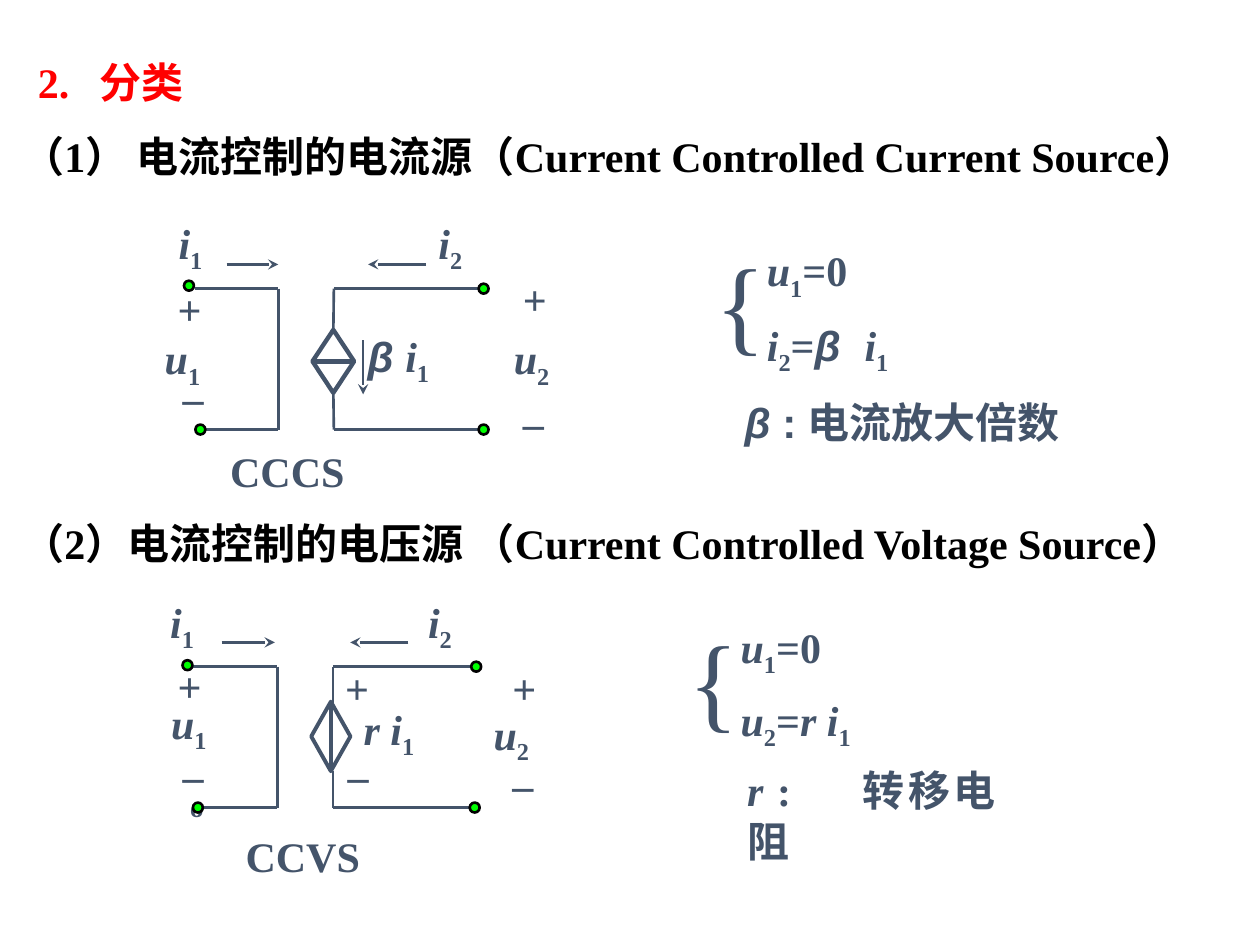
from lxml.etree import SubElement
from pptx import Presentation
from pptx.dml.color import RGBColor
from pptx.enum.shapes import MSO_CONNECTOR, MSO_SHAPE
from pptx.enum.text import MSO_ANCHOR, MSO_AUTO_SIZE, PP_ALIGN
from pptx.oxml.ns import qn
from pptx.util import Cm, Pt

INK, BLACK, RED, GREEN = "44546A", "000000", "FF0000", "00FF00"
ROMAN = "Times New Roman"
BASE = {"name": ROMAN, "size": Pt(24), "bold": True, "italic": False}
ITAL = {"italic": True}
BETA = {"italic": True, "name": "Arial"}
SANS = {"name": "Arial"}
BRACE = {"size": Pt(60), "bold": False}
FRAME = {"word_wrap": True, "auto_size": MSO_AUTO_SIZE.NONE,
         "vertical_anchor": MSO_ANCHOR.MIDDLE}


def tint(code):
    return RGBColor.from_string(code)


def put(item, vals):
    for key, val in vals.items():
        setattr(item, key, val)


def var(name, sub):
    return [(name, ITAL), (sub, "sub")]


class Deck:
    """Hold the style and the current slide, and draw each kind of element."""

    def __init__(self):
        self.prs = Presentation()
        put(self.prs, {"slide_width": Cm(25.4), "slide_height": Cm(19.05)})
        self.slide = self.prs.slides.add_slide(self.prs.slide_layouts[5])
        self.all = self.slide.shapes

    def letter(self, box, runs, color, tab=None):
        put(box.text_frame, FRAME)
        para = box.text_frame.paragraphs[0]
        para.alignment = PP_ALIGN.JUSTIFY
        if tab:
            tabs = SubElement(para._p.get_or_add_pPr(), qn("a:tabLst"))
            SubElement(tabs, qn("a:tab"), pos=str(Cm(tab)), algn="l")
        for words, style in [(runs, {})] if isinstance(runs, str) else runs:
            run = para.add_run()
            run.text = words
            put(run.font, BASE if style == "sub" else {**BASE, **style})
            run.font.color.rgb = tint(color)
            if style == "sub":
                run._r.get_or_add_rPr().set("baseline", "-25000")
        return para

    def title(self, x, y, w, h, words, tab):
        box = self.all.title
        put(box, {"left": Cm(x), "top": Cm(y), "width": Cm(w), "height": Cm(h)})
        self.letter(box, words, RED, tab).line_spacing = 1.2

    def text(self, x, y, w, runs, h=1.27, color=INK, tab=None):
        box = self.all.add_textbox(Cm(x), Cm(y), Cm(w), Cm(h))
        self.letter(box, runs, color, tab)

    def shape(self, kind, x, y, w, h, line, width, fill=None, turn=0):
        item = self.all.add_shape(kind, Cm(x), Cm(y), Cm(w), Cm(h))
        item.shadow.inherit = False
        item.rotation = turn
        item.line.color.rgb = tint(line)
        item.line.width = Pt(width)
        if fill:
            item.fill.solid()
            item.fill.fore_color.rgb = tint(fill)
        else:
            item.fill.background()
        return item

    def wire(self, x1, y1, x2, y2, head=False):
        item = self.all.add_connector(
            MSO_CONNECTOR.STRAIGHT, Cm(x1), Cm(y1), Cm(x2), Cm(y2))
        item.line.color.rgb = tint(INK)
        item.line.width = Pt(1.5)
        props = item._element.spPr
        if head:
            SubElement(props.find(qn("a:ln")), qn("a:tailEnd"), type="stealth")
        SubElement(props, qn("a:effectLst"))
        return item

    def loop(self, start, left, core, end, top, gem, joined):
        low = top + 2.84
        for y in (top, low):
            self.wire(start, y, left, y)
            self.wire(core, y, end, y)
        self.wire(left, top, left, low)
        for y, gap, site in ((top, top + 0.84, 0), (low, top + 2.1, 2)):
            lead = self.wire(core, gap, core, y)
            if joined:
                lead.begin_connect(gem, site)

    def dot(self, x, y):
        self.shape(MSO_SHAPE.OVAL, x, y, 0.2, 0.2, BLACK, 1.5, GREEN)


def main():
    deck = Deck()
    deck.title(0.51, 0.81, 5.36, 1.47, "2.\t分类", 1.25)
    deck.text(0.2, 2.51, 24.71,
              "（1） 电流控制的电流源（Current Controlled Current Source）", color=BLACK)
    deck.text(0.2, 10.31, 24.21,
              "（2）电流控制的电压源 （Current Controlled Voltage Source）", color=BLACK)

    sort = MSO_SHAPE.FLOWCHART_SORT
    gem = deck.shape(sort, 6.3, 6.65, 0.84, 1.27, INK, 2.5)
    deck.loop(3.94, 5.61, 6.73, 9.7, 5.82, gem, True)
    gem = deck.shape(sort, 5.97, 14.45, 1.4, 0.79, INK, 2.25, turn=270)
    deck.loop(3.89, 5.59, 6.71, 9.65, 13.44, gem, False)

    for ends in ((4.57, 5.33, 5.61, 5.33), (8.59, 5.33, 7.42, 5.33),
                 (7.32, 6.86, 7.32, 7.95),
                 (4.47, 12.95, 5.54, 12.95), (8.23, 12.95, 7.06, 12.95)):
        deck.wire(*ends, head=True)

    u1, u2, i1, i2 = var("u", "1"), var("u", "2"), var("i", "1"), var("i", "2")
    zero = u1 + [("=0", {})]
    labels = (
        (3.35, 4.32, 1.52, i1), (8.59, 4.32, 1.27, i2),
        (3.07, 6.65, 1.42, u1), (10.11, 6.65, 1.42, u2),
        (3.33, 5.59, 0.84, "+"), (10.29, 5.38, 0.84, "+"),
        (3.43, 7.09, 0.64, "_"), (10.29, 7.59, 1.02, "_"),
        (7.16, 6.6, 2.18, [("β ", BETA)] + i1), (4.39, 8.86, 3.61, "CCCS"),
        (3.18, 11.96, 1.52, i1), (8.38, 11.96, 1.27, i2),
        (3.2, 14, 1.42, u1), (9.7, 14.22, 1.42, u2),
        (3.33, 13.18, 0.64, "+"), (6.71, 13.23, 0.64, "+"),
        (10.08, 13.23, 0.64, "+"), (3.43, 14.71, 0.64, "_"),
        (6.76, 14.71, 0.64, "_"), (10.08, 14.88, 0.64, "_"),
        (3.58, 15.82, 0.51, "º"), (7.08, 14.12, 2, var("r i", "1")),
        (4.7, 16.61, 3.61, "CCVS"),
        (15.21, 4.88, 2.77, zero), (14.68, 12.47, 2.77, zero),
        (14.68, 13.94, 3.18, u2 + [("=", {})] + var("r i", "1")),
        (14.76, 7.87, 7.98, [("β ", BETA), (": ", SANS), ("电流放大倍数", {})]),
    )
    for label in labels:
        deck.text(*label)
    deck.text(15.21, 6.38, 3.18, i2 + [("=", {}), ("β\t", BETA)] + i1, tab=1.97)
    deck.text(14.81, 15.8, 5.51, [("r ", ITAL), (":\t转移电阻", {})], tab=2.2)
    for x, y in ((14.17, 4.67), (13.64, 12.27)):
        deck.text(x, y, 2.06, [("{", BRACE)], h=2.79)

    for spot in ((3.71, 5.66), (3.94, 8.56), (9.65, 5.72), (9.65, 8.56),
                 (3.68, 13.31), (3.89, 16.18), (9.5, 13.34), (9.47, 16.18)):
        deck.dot(*spot)
    deck.prs.save("out.pptx")


if __name__ == "__main__":
    main()
